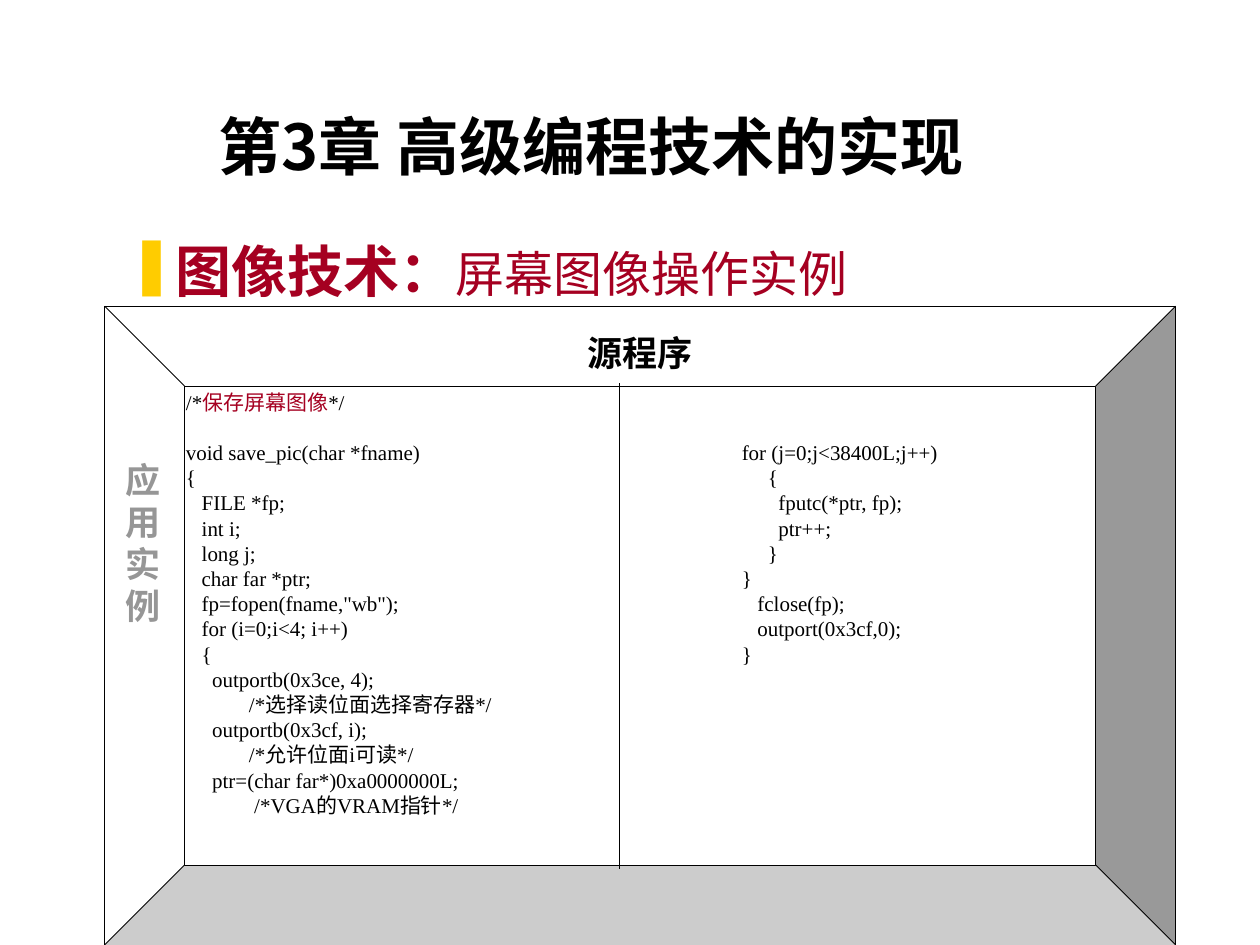
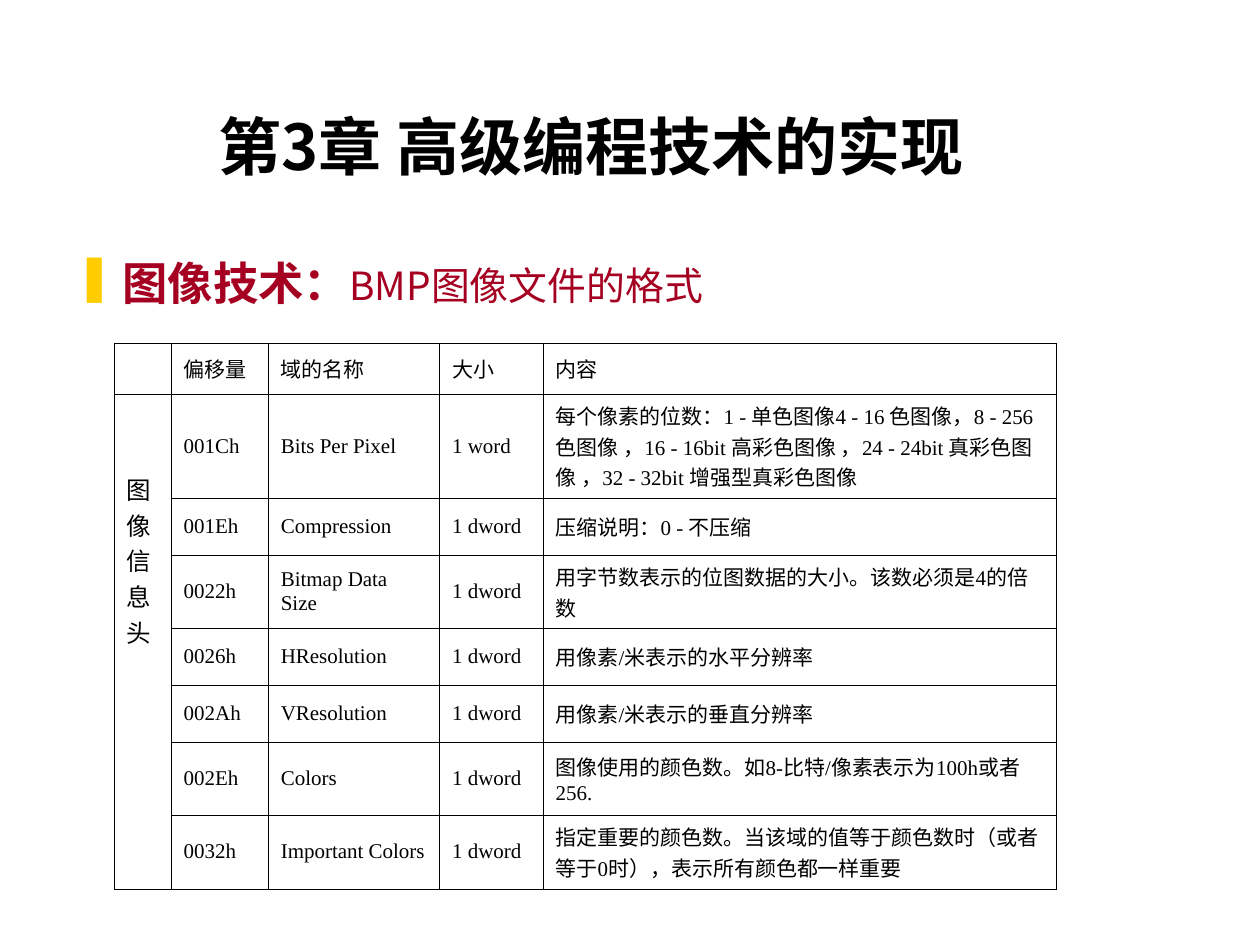
import pptx
import pptx.dml.color
import pptx.enum.shapes
import pptx.enum.text
import pptx.oxml
import pptx.oxml.ns
import pptx.util
from lxml import etree

Pt = pptx.util.Pt
RGBColor = pptx.dml.color.RGBColor
Align = pptx.enum.text.PP_ALIGN
Anchor = pptx.enum.text.MSO_ANCHOR
qn = pptx.oxml.ns.qn

BLACK = RGBColor(0x00, 0x00, 0x00)
WHITE = RGBColor(0xFF, 0xFF, 0xFF)
GRAY = RGBColor(0x96, 0x96, 0x96)
CRIMSON = RGBColor(0xA5, 0x00, 0x21)
GOLD = RGBColor(0xFF, 0xCC, 0x00)
SERIF = "Times New Roman"
SANS = "Noto Sans CJK SC"

CHAPTER = "第3章 高级编程技术的实现"
TOPIC = "图像技术："

SAVE_CODE = [
    "void save_pic(char *fname)",
    "{",
    "   FILE *fp;",
    "   int i;",
    "   long j;",
    "   char far *ptr;",
    "   fp=fopen(fname,\"wb\");",
    "   for (i=0;i<4; i++)",
    "   {",
    "     outportb(0x3ce, 4);",
    "\t/*选择读位面选择寄存器*/",
    "     outportb(0x3cf, i);",
    "\t/*允许位面i可读*/",
    "     ptr=(char far*)0xa0000000L;",
    "\t /*VGA的VRAM指针*/",
]
LOOP_CODE = [
    "for (j=0;j<38400L;j++)",
    "     {",
    "       fputc(*ptr, fp);",
    "       ptr++;",
    "     }",
    "}",
    "   fclose(fp);",
    "   outport(0x3cf,0);",
    "}",
]

HEADER_LABEL = "图像信息头"
COLUMN_WIDTHS = [32.5, 55.5, 97.9, 59.2, 293.4]
ROW_HEIGHTS = [24.6, 59.4, 32.6, 41.7, 32.6, 32.6, 41.7, 42.2]
FIELDS = [
    ("偏移量", "域的名称", "大小", "内容"),
    ("001Ch", "Bits Per Pixel", "1 word",
     "每个像素的位数：1 - 单色图像4 - 16 色图像，8 - 256 色图像 ，16 - 16bit 高彩色图像 ，"
     "24 - 24bit 真彩色图像 ，32 - 32bit 增强型真彩色图像"),
    ("001Eh", "Compression", "1 dword", "压缩说明：0 - 不压缩"),
    ("0022h", "Bitmap Data Size", "1 dword", "用字节数表示的位图数据的大小。该数必须是4的倍数"),
    ("0026h", "HResolution", "1 dword", "用像素/米表示的水平分辨率"),
    ("002Ah", "VResolution", "1 dword", "用像素/米表示的垂直分辨率"),
    ("002Eh", "Colors", "1 dword", "图像使用的颜色数。如8-比特/像素表示为100h或者 256."),
    ("0032h", "Important Colors", "1 dword",
     "指定重要的颜色数。当该域的值等于颜色数时（或者等于0时），表示所有颜色都一样重要"),
]


class Lecture:
    def __init__(self):
        self.deck = pptx.Presentation()
        self.deck.slide_width = Pt(720)
        self.deck.slide_height = Pt(540)
        self.page = None

    def add_page(self, subtitle, left, top, width, height, sizes, spacing=None):
        self.page = self.deck.slides.add_slide(self.deck.slide_layouts[6])
        title = self.box(31.7, 18, 612, 90, Anchor.BOTTOM)
        self.line_of_text(title.paragraphs[0], CHAPTER, 36, BLACK, SANS, True, Align.CENTER)
        heading = self.box(left, top, width, height).paragraphs[0]
        if spacing:
            heading.line_spacing = spacing
        self.bullet(heading)
        self.span(heading, TOPIC, sizes[0], CRIMSON, SERIF, True)
        self.span(heading, subtitle, sizes[1], CRIMSON, SANS)

    def box(self, left, top, width, height, anchor=Anchor.TOP):
        shape = self.page.shapes.add_textbox(Pt(left), Pt(top), Pt(width), Pt(height))
        frame = shape.text_frame
        frame.word_wrap = True
        frame.vertical_anchor = anchor
        return frame

    def style(self, font, properties, size, color, face, bold):
        font.size = Pt(size)
        font.bold = bold
        font.name = face
        font.color.rgb = color
        etree.SubElement(properties, qn("a:ea"), typeface=SANS)

    def line_of_text(self, para, text, size, color=BLACK, face=SERIF, bold=False,
                     align=Align.LEFT):
        para.add_run().text = text
        para.alignment = align
        font = para.font
        properties = para._p.get_or_add_pPr().find(qn("a:defRPr"))
        self.style(font, properties, size, color, face, bold)

    def span(self, para, text, size, color=BLACK, face=SERIF, bold=False):
        run = para.add_run()
        run.text = text
        self.style(run.font, run._r.get_or_add_rPr(), size, color, face, bold)

    def bullet(self, para):
        properties = para._p.get_or_add_pPr()
        properties.set("marL", str(Pt(27)))
        properties.set("indent", str(Pt(-27)))
        color = etree.SubElement(properties, qn("a:buClr"))
        etree.SubElement(color, qn("a:srgbClr"), val=str(GOLD))
        etree.SubElement(properties, qn("a:buChar"), char="❚")

    def label(self, text, left, top, width, height, color, align=Align.LEFT):
        para = self.box(left, top, width, height).paragraphs[0]
        para.line_spacing = Pt(24)
        self.line_of_text(para, text, 20, color, bold=True, align=align)

    def code(self, lines, left, top, width, height, comment=None):
        frame = self.box(left, top, width, height)
        para = frame.paragraphs[0]
        if comment:
            para.line_spacing = Pt(14.4)
            self.span(para, "/*", 12)
            self.span(para, comment, 12, CRIMSON, SANS)
            self.span(para, "*/", 12)
            para = frame.add_paragraph()
            para.space_before = Pt(14.4)
        for index, line in enumerate(lines):
            if index:
                para = frame.add_paragraph()
            para.line_spacing = Pt(14.4)
            self.line_of_text(para, line, 12)

    def bevel(self, left, top, width, height):
        kind = pptx.enum.shapes.MSO_SHAPE.BEVEL
        shape = self.page.shapes.add_shape(kind, Pt(left), Pt(top), Pt(width), Pt(height))
        shape.adjustments[0] = 0.125
        shape.shadow.inherit = False
        shape.fill.solid()
        shape.fill.fore_color.rgb = WHITE
        shape.line.color.rgb = BLACK
        shape.line.width = Pt(0.5)

    def divider(self, x, top, bottom):
        kind = pptx.enum.shapes.MSO_CONNECTOR.STRAIGHT
        line = self.page.shapes.add_connector(kind, Pt(x), Pt(top), Pt(x), Pt(bottom))
        line.line.color.rgb = BLACK
        line.line.width = Pt(0.75)
        etree.SubElement(line._element.spPr, qn("a:effectLst"))

    def frame_cell(self, cell):
        properties = cell._tc.get_or_add_tcPr()
        for side in ("lnL", "lnR", "lnT", "lnB"):
            border = etree.SubElement(properties, qn("a:" + side), w=str(Pt(0.34)))
            fill = etree.SubElement(border, qn("a:solidFill"))
            etree.SubElement(fill, qn("a:srgbClr"), val=str(BLACK))
        cell.fill.background()
        cell.vertical_anchor = Anchor.MIDDLE

    def field_table(self, left, top):
        graphic = self.page.shapes.add_table(
            len(ROW_HEIGHTS), len(COLUMN_WIDTHS), Pt(left), Pt(top),
            Pt(sum(COLUMN_WIDTHS)), Pt(sum(ROW_HEIGHTS)))
        table = graphic.table
        table.first_row = False
        table.horz_banding = False
        for column, width in zip(table.columns, COLUMN_WIDTHS):
            column.width = Pt(width)
        for row, height in zip(table.rows, ROW_HEIGHTS):
            row.height = Pt(height)
        for cell in table.iter_cells():
            self.frame_cell(cell)
        for row, values in enumerate(FIELDS):
            for column, value in enumerate(values, start=1):
                self.line_of_text(table.cell(row, column).text_frame.paragraphs[0], value, 12)
        header = table.cell(1, 0)
        header.merge(table.cell(len(FIELDS) - 1, 0))
        header.vertical_anchor = Anchor.TOP
        header.margin_top = Pt(44)
        self.line_of_text(header.text_frame.paragraphs[0], HEADER_LABEL, 14)


def main():
    lecture = Lecture()

    lecture.add_page("屏幕图像操作实例", 66.2, 131.8, 636, 49.7, (32, 28))
    lecture.bevel(59.8, 175, 612, 365)
    lecture.label("应用实例", 64.8, 258.5, 31, 103.7, GRAY)
    lecture.label("源程序", 198, 185.8, 336, 31.7, BLACK, Align.CENTER)
    lecture.code(SAVE_CODE, 99.2, 218.9, 244, 266.4, "保存屏幕图像")
    lecture.code(LOOP_CODE, 416.8, 247.7, 177, 136.8)
    lecture.divider(354.2, 218.9, 496.8)

    lecture.add_page("BMP图像文件的格式", 36, 148.3, 390, 37.4, (25.9, 22.2), 0.8)
    lecture.field_table(65.3, 196.3)

    lecture.deck.save("out.pptx")


if __name__ == "__main__":
    main()
